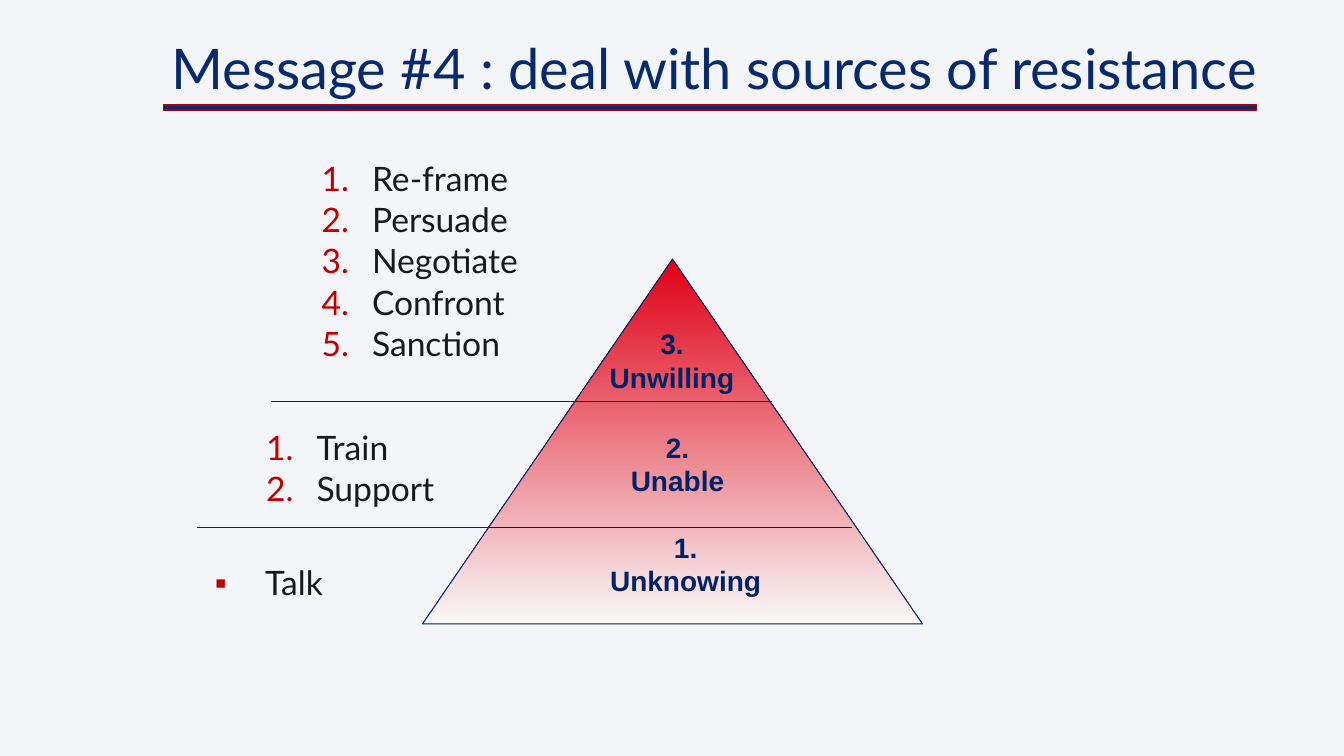
from lxml import etree
from pptx import Presentation
from pptx.dml.color import RGBColor
from pptx.enum import shapes, text
from pptx.oxml import ns
from pptx.util import Inches, Pt

BACK = RGBColor(0xF3, 0xF5, 0xF8)
BLUE = RGBColor(0x08, 0x29, 0x6C)
NAVY = RGBColor(0x00, 0x22, 0x66)
RULE = RGBColor(0xA8, 0x00, 0x10)
RED = RGBColor(0xE0, 0x00, 0x16)
PALE = RGBColor(0xF8, 0xF8, 0xF8)
MARK = RGBColor(0xC0, 0x00, 0x00)
INK = RGBColor(0x19, 0x19, 0x19)

TITLE = "Message #4 : deal with sources of resistance"
# (box, numbered, items)
LISTS = [
    ((2.97, 1.53, 2.9, 2.16), True,
     ["Re-frame", "Persuade", "Negotiate", "Confront", "Sanction"]),
    ((2.42, 4.22, 2.32, 0.89), True, ["Train", "Support"]),
    ((1.91, 5.57, 2.91, 0.46), False, ["Talk"]),
]
# (box, lines)
LEVELS = [
    ((5.94, 3.19, 1.45, 0.77), ["3.", "Unwilling"]),
    ((6.15, 4.22, 1.14, 0.77), ["2.", "Unable"]),
    ((5.94, 5.21, 1.72, 0.77), ["1.", "Unknowing"]),
]
# (left, right, height on slide)
SPLITS = [(2.69, 7.66, 3.98), (1.95, 8.45, 5.23)]


def place(shape, box):
    shape.left, shape.top, shape.width, shape.height = map(Inches, box)


def write(para, words, font, size, color, bold=False):
    run = para.add_run()
    run.text = words
    run.font.name, run.font.size, run.font.bold = font, Pt(size), bold
    run.font.color.rgb = color


def add(parent, tag, **attrs):
    return etree.SubElement(parent, ns.qn(tag), attrs)


def mark(para, numbered):
    """Give the paragraph a hanging red number or square."""
    props = para._p.get_or_add_pPr()
    props.set("marL", str(Inches(0.62)))
    props.set("indent", str(Inches(-0.5)))
    add(add(props, "a:buClr"), "a:srgbClr", val=str(MARK))
    add(props, "a:buFont", typeface="Lato" if numbered else "Arial")
    if numbered:
        add(props, "a:buAutoNum", type="arabicPeriod")
    else:
        add(props, "a:buChar", char="▪")


def paras(frame, lines):
    """Yield a paragraph for each line of text."""
    for i, line in enumerate(lines):
        yield (frame.add_paragraph() if i else frame.paragraphs[0]), line


def fill_list(holder, box, numbered, items):
    place(holder, box)
    frame = holder.text_frame
    frame.auto_size = text.MSO_AUTO_SIZE.NONE
    frame.vertical_anchor = text.MSO_ANCHOR.MIDDLE
    for para, item in paras(frame, items):
        para.line_spacing = 0.9
        para.space_before, para.space_after = Pt(0), Pt(3.6)
        mark(para, numbered)
        write(para, item, "Lato", 24, INK)


def add_label(slide, box, lines):
    frame = slide.shapes.add_textbox(*map(Inches, box)).text_frame
    frame.word_wrap = False
    for para, line in paras(frame, lines):
        para.alignment = text.PP_ALIGN.CENTER
        write(para, line, "Arial", 20, NAVY, True)


def add_shape(slide, kind, box, line, width):
    shape = slide.shapes.add_shape(kind, *map(Inches, box))
    shape.shadow.inherit = False
    shape.line.color.rgb, shape.line.width = line, Pt(width)
    return shape


def add_split(slide, left, right, y):
    line = slide.shapes.add_connector(
        shapes.MSO_CONNECTOR.STRAIGHT, *map(Inches, (left, y, right, y)))
    line.line.color.rgb, line.line.width = NAVY, Pt(0.75)
    add(line._element.spPr, "a:effectLst")


def main():
    deck = Presentation()
    deck.slide_width, deck.slide_height = Inches(13.33), Inches(7.5)
    slide = deck.slides.add_slide(deck.slide_layouts.get_by_name("Comparison"))
    slide.background.fill.solid()
    slide.background.fill.fore_color.rgb = BACK

    title = slide.shapes.title
    place(title, (1.6, -0.05, 11.15, 1.51))
    frame = title.text_frame
    frame.auto_size = text.MSO_AUTO_SIZE.NONE
    frame.vertical_anchor = text.MSO_ANCHOR.MIDDLE
    para = frame.paragraphs[0]
    para.alignment, para.line_spacing = text.PP_ALIGN.LEFT, 0.9
    write(para, TITLE, "Lato", 40, BLUE)

    bodies = [h for h in slide.placeholders if 1 <= h.placeholder_format.idx <= 4]
    for holder, spec_row in zip(bodies, LISTS):
        fill_list(holder, *spec_row)
    for spare in bodies[len(LISTS):]:
        spare._element.getparent().remove(spare._element)

    kinds = shapes.MSO_SHAPE
    bar = add_shape(slide, kinds.RECTANGLE, (1.62, 1.04, 10.84, 0.05), RULE, 1)
    bar.fill.solid()
    bar.fill.fore_color.rgb = BLUE

    peak = add_shape(slide, kinds.ISOSCELES_TRIANGLE,
                     (4.19, 2.57, 4.96, 3.62), NAVY, 0.75)
    peak.fill.gradient()
    peak.fill.gradient_angle = 270
    for stop, color, where in zip(peak.fill.gradient_stops, (RED, PALE), (0, 1)):
        stop.color.rgb, stop.position = color, where

    for level in LEVELS:
        add_label(slide, *level)
    for split in SPLITS:
        add_split(slide, *split)
    deck.save("out.pptx")


if __name__ == "__main__":
    main()
